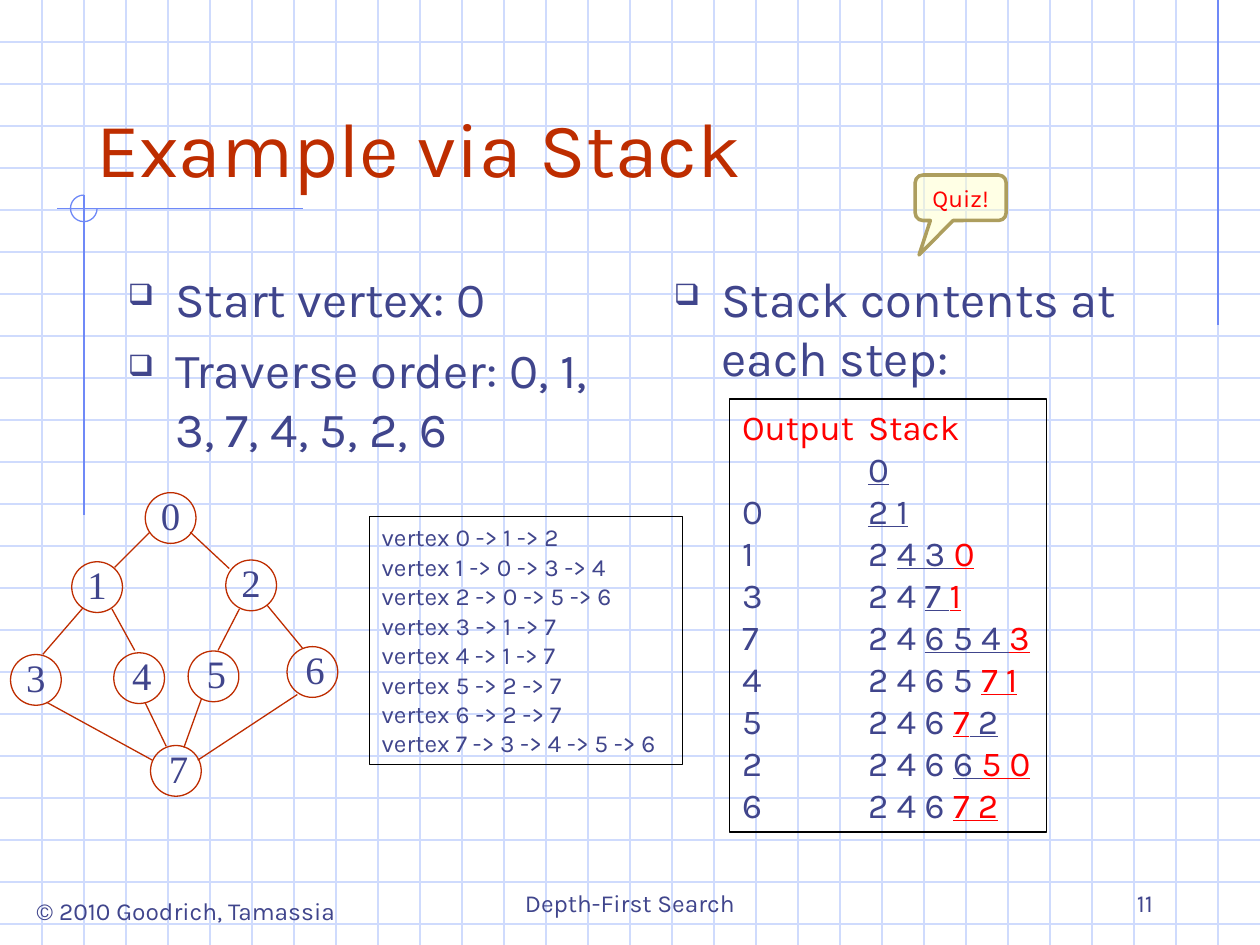
from lxml.etree import SubElement
from pptx import Presentation
from pptx.dml.color import RGBColor
from pptx.enum.shapes import MSO_CONNECTOR, MSO_SHAPE
from pptx.enum.text import MSO_ANCHOR as ANCHOR, PP_ALIGN as ALIGN
from pptx.oxml.ns import qn
from pptx.util import Pt

COLORS = {
    "grid": "CFDBFD", "accent": "6F89F7", "text": "40458C", "title": "BE2D00",
    "red": "FF0000", "frame": "000000", "callout": "FFFFCC", "callout_line": "AD9E5E",
}
WIDTH, HEIGHT, GRID_STEP = 720, 540, 24

UNDER = {"underline": True}
RED_UNDER = {"underline": True, "color": "red"}
STACK_ROWS = [
    [("Output\tStack", {"color": "red"})],
    ["\t", ("0", UNDER)],
    ["0\t", ("2 1", UNDER)],
    ["1\t2 ", ("4 3 ", UNDER), ("0", RED_UNDER)],
    ["3\t2 4 ", ("7 ", UNDER), ("1", RED_UNDER)],
    ["7\t2 4 ", ("6 5 4 ", UNDER), ("3", RED_UNDER)],
    ["4\t2 4 6 5 ", ("7 1", RED_UNDER)],
    ["5\t2 4 6 ", ("7", RED_UNDER), (" 2", UNDER)],
    ["2\t2 4 6 ", ("6 ", UNDER), ("5 0", RED_UNDER)],
    ["6\t2 4 6 ", ("7 2", RED_UNDER)],
]
ADJACENCY = [(1, 2), (0, 3, 4), (0, 5, 6), (1, 7), (1, 7), (2, 7), (2, 7), (3, 4, 5, 6)]

# Circle corners and edge ends, relative to the graph's box
NODE_SIZE = 29
NODES = [(77, 0), (35, 39.5), (123, 38.5), (0, 92.5),
         (59, 91.5), (101.5, 90.5), (158, 88), (80, 144.5)]
EDGES = [
    (79.7, 22.6, 59.5, 42.7), (102.7, 22.6, 125, 43.4),
    (41.5, 65.8, 18.5, 92.4), (58, 66.5, 71, 90.2),
    (130.8, 66.5, 118.6, 90.2), (146.6, 64.3, 166.8, 88.8),
    (76.8, 119.8, 89, 145), (109.2, 117.6, 99.1, 145.7),
    (20.6, 119.8, 81.1, 152.9), (163.9, 115.4, 107, 152.9),
]


def rgb(name):
    return RGBColor.from_string(COLORS[name])


def add_bullet(props):
    color = SubElement(props, qn("a:buClr"))
    SubElement(color, qn("a:srgbClr"), val=COLORS["text"])
    SubElement(props, qn("a:buSzPct"), val="60000")
    SubElement(props, qn("a:buChar"), char="❑")
    props.set("marL", str(Pt(27)))
    props.set("indent", str(-Pt(27)))


def write_text(shape, paragraphs, size=14, color="text", font="Karla", align=ALIGN.LEFT,
               anchor=ANCHOR.TOP, insets=(7.2, 3.6, 7.2, 3.6), before=0, spacing=None,
               bullet=False, tab=None):
    """Each paragraph is a list of spans: a string, or a string with its own format."""
    frame = shape.text_frame
    frame.word_wrap = True
    frame.vertical_anchor = anchor
    (frame.margin_left, frame.margin_top,
     frame.margin_right, frame.margin_bottom) = map(Pt, insets)
    for index, spans in enumerate(paragraphs):
        para = frame.add_paragraph() if index else frame.paragraphs[0]
        para.alignment = align
        para.space_before = Pt(before)
        if spacing:
            para.line_spacing = spacing
        props = para._p.get_or_add_pPr()
        if bullet:
            add_bullet(props)
        if tab:
            stops = SubElement(props, qn("a:tabLst"))
            SubElement(stops, qn("a:tab"), pos=str(Pt(tab)), algn="l")
        for item in spans:
            text, own = (item, {}) if isinstance(item, str) else item
            span = para.add_run()
            span.text = text
            span.font.name = font
            span.font.size = Pt(size)
            span.font.color.rgb = rgb(own.get("color", color))
            span.font.underline = own.get("underline", False)


def add_label(page, box, *lines, **format):
    label = page.shapes.add_textbox(*map(Pt, box))
    write_text(label, [[line] for line in lines], **format)


def add_outline(page, kind, box, line, weight=0.75):
    shape = page.shapes.add_shape(kind, *map(Pt, box))
    shape.shadow.inherit = False
    shape.fill.background()
    shape.line.color.rgb = rgb(line)
    shape.line.width = Pt(weight)
    return shape


def add_line(page, x1, y1, x2, y2, color):
    line = page.shapes.add_connector(MSO_CONNECTOR.STRAIGHT, *map(Pt, (x1, y1, x2, y2)))
    line.line.color.rgb = rgb(color)
    line.line.width = Pt(0.75)
    SubElement(line._element.spPr, qn("a:effectLst"))


def draw_background(page, box):
    left, top, width, height = box
    for y in range(GRID_STEP, height, GRID_STEP):
        add_line(page, left, top + y, left + width, top + y, "grid")
    for x in range(GRID_STEP, width, GRID_STEP):
        add_line(page, left + x, top, left + x, top + height, "grid")
    for x1, y1, x2, y2 in [(696, 0, 696, 186), (173, 119.3, 32.5, 119.3),
                           (48, 111.5, 48, 294.5)]:
        add_line(page, left + x1, top + y1, left + x2, top + y2, "accent")
    arc = add_outline(page, MSO_SHAPE.ARC, (left + 40.3, top + 111.5, 15.2, 15.2), "accent")
    arc.adjustments[0], arc.adjustments[1] = 0, 162  # from 0 to 270 degrees


def draw_footer(page, box):
    left, top, width, height = box
    format = {"anchor": ANCHOR.BOTTOM}
    add_label(page, (left + 8.7, top + 16.4, 195, 24.5), "© 2010 Goodrich, Tamassia",
              align=ALIGN.CENTER)
    add_label(page, (left + 246, top, 228, height), "Depth-First Search",
              align=ALIGN.CENTER, **format)
    add_label(page, (left + 516, top, 150, height), "11", align=ALIGN.RIGHT, **format)


def draw_body(page, box):
    left, top, width, height = box
    column, pitch = 300, 312
    columns = [["Start vertex: 0", "Traverse order: 0, 1, 3, 7, 4, 5, 2, 6"],
               ["Stack contents at each step:"]]
    for index, lines in enumerate(columns):
        add_label(page, (left + index * pitch, top, column, height), *lines,
                  size=28, before=7, bullet=True)


def draw_graph(page, box):
    left, top = box[:2]
    for number, (x, y) in enumerate(NODES):
        node = add_outline(page, MSO_SHAPE.OVAL,
                           (left + x, top + y, NODE_SIZE, NODE_SIZE), "title")
        shift = 3.2 if number > 3 else 0
        write_text(node, [[str(number)]], size=22.2, font="Times New Roman", spacing=0.9,
                   align=ALIGN.CENTER, anchor=ANCHOR.MIDDLE,
                   insets=(1.4 + shift, 0.7, 1.4, 0.7))
    for x1, y1, x2, y2 in EDGES:
        add_line(page, left + x1, top + y1, left + x2, top + y2, "title")


def draw_stack_trace(page, box):
    panel = add_outline(page, MSO_SHAPE.RECTANGLE, box, "frame")
    write_text(panel, STACK_ROWS, size=20, tab=72, insets=(7.2, 3.6, 0, 3.6))


def draw_adjacency(page, box):
    panel = add_outline(page, MSO_SHAPE.RECTANGLE, box, "frame")
    lines = [[f"vertex {vertex} -> " + " -> ".join(map(str, neighbours))]
             for vertex, neighbours in enumerate(ADJACENCY)]
    write_text(panel, lines)


def draw_quiz(page, box):
    callout = add_outline(page, MSO_SHAPE.ROUNDED_RECTANGULAR_CALLOUT, box,
                          "callout_line", 2)
    for index, value in enumerate((-0.457, 1.257, 0.167)):
        callout.adjustments[index] = value
    callout.fill.solid()
    callout.fill.fore_color.rgb = rgb("callout")
    fill_color = callout._element.spPr.find(qn("a:solidFill")).find(qn("a:srgbClr"))
    SubElement(fill_color, qn("a:alpha"), val="50000")
    write_text(callout, [["Quiz!"]], color="red", align=ALIGN.CENTER,
               anchor=ANCHOR.MIDDLE, insets=(3, 3.6, 3, 3.6))


def main():
    deck = Presentation()
    deck.slide_width, deck.slide_height = Pt(WIDTH), Pt(HEIGHT)
    page = deck.slides.add_slide(deck.slide_layouts[6])
    draw_background(page, (0, 0, WIDTH, HEIGHT))
    add_label(page, (48, 24, 612, 90), "Example via Stack",
              size=44, color="title", anchor=ANCHOR.BOTTOM)
    draw_body(page, (66, 150, 612, 324))
    draw_footer(page, (0, 492, WIDTH, 36))
    draw_graph(page, (6, 281.5, 187, 174))
    draw_stack_trace(page, (417, 228, 181, 247.5))
    draw_quiz(page, (523, 100, 52, 26))
    draw_adjacency(page, (211, 295, 179, 142))
    deck.save("out.pptx")


if __name__ == "__main__":
    main()
